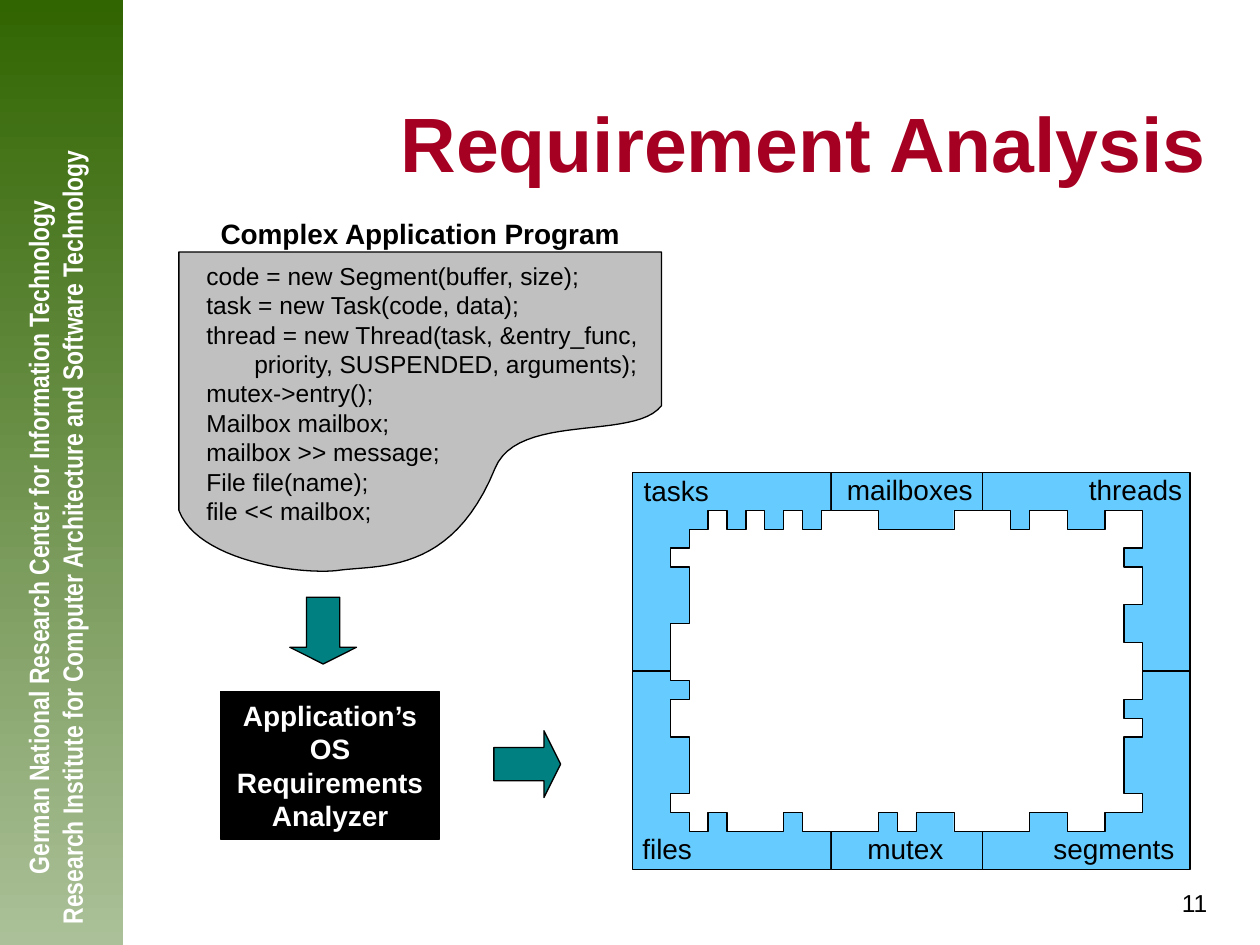
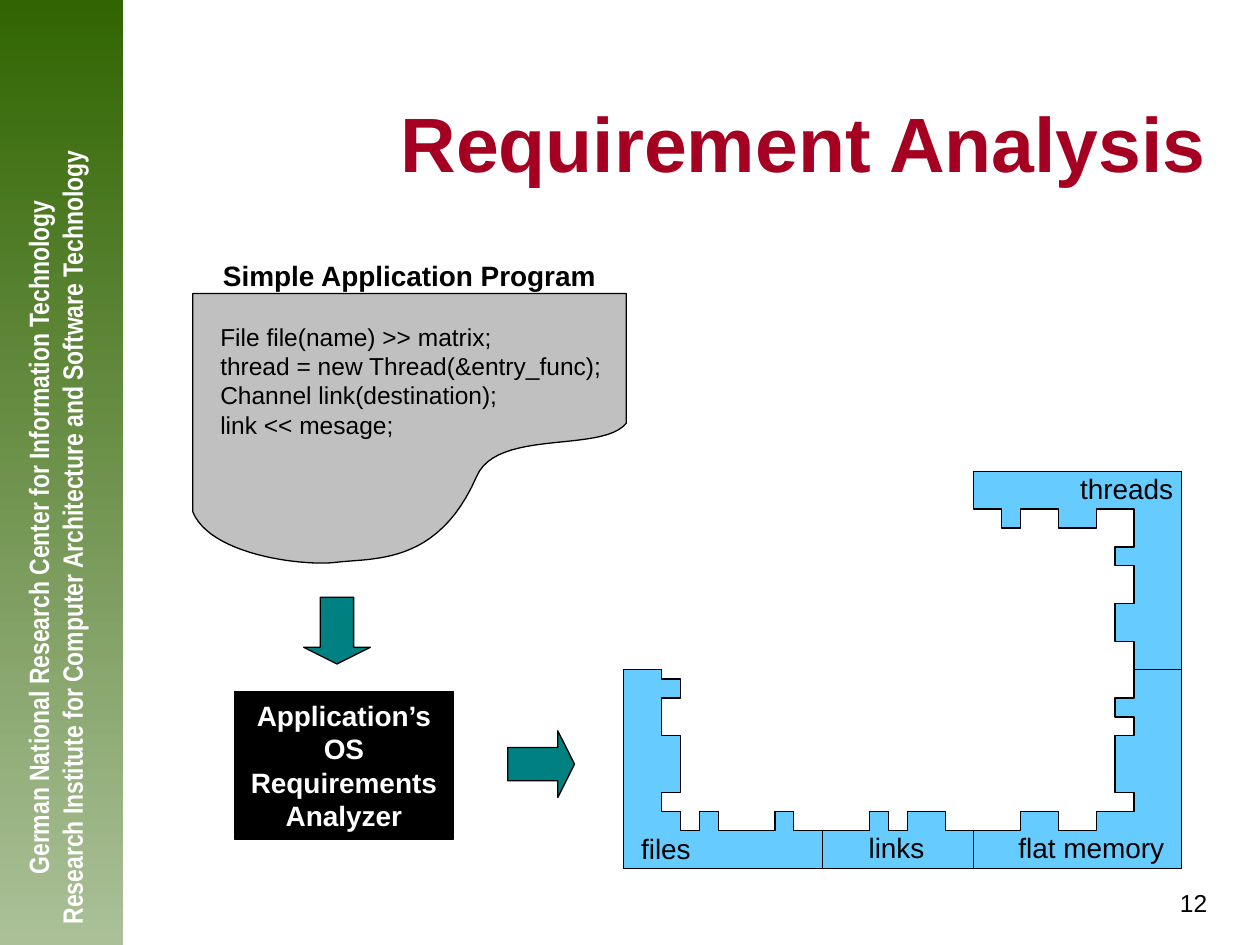
from pptx import Presentation
from pptx.dml.color import RGBColor
from pptx.enum import shapes, text
from pptx.util import Inches, Pt

BLACK, WHITE, RED = "000000", "FFFFFF", "A50021"
GREY, TEAL, SKY = "C0C0C0", "008080", "66CCFF"
DARK, LIGHT = "316501", "ABC098"
LEFT, MID, RIGHT = text.PP_ALIGN.LEFT, text.PP_ALIGN.CENTER, text.PP_ALIGN.RIGHT
SHAPE = shapes.MSO_SHAPE

UNIT = 0.15  # grid step of the puzzle frame
# Outlines in grid steps: a start point x, y, then the next y and x in turn.
PIECES = {
    "tasks": [2, 10.5, 8, 3, 5, 2, 4, 3, 3, 4, 2, 5, 3, 6, 2, 7, 3, 8, 2, 9, 3,
              10, 2, 10.5, 0, 0],
    "mail": [10.5, 0, 2, 13, 3, 17, 2, 18.5],
    "threads": [18.5, 0, 2, 20, 3, 21, 2, 23, 3, 25, 2, 27, 4, 26, 5, 27, 7, 26,
                9, 27, 10.5, 29.5],
    "files": [0, 21, 10.5, 2, 11, 3, 12, 2, 14, 3, 17, 2, 18, 3, 19, 4, 18, 5,
              19, 8, 18, 9, 19, 10.5],
    "sync": [10.5, 19, 21, 18.5, 19, 17, 18, 15, 19, 14, 18, 13],
    "memory": [18.5, 19, 21, 29.5, 10.5, 27, 12, 26, 13, 27, 14, 26, 17, 27, 18,
               25, 19, 23, 18, 21],
}
ALIGN = {"tasks": LEFT, "files": LEFT, "mail": MID, "sync": MID,
         "threads": RIGHT, "memory": RIGHT}

# Torn lower edge of the program sheet, as fractions of its box.
TEAR = [
    [(1, 0.475), (0.943, 0.584), (0.702, 0.494), (0.655, 0.669)],
    [(0.655, 0.669), (0.564, 1), (0.413, 0.965), (0.326, 0.984)],
    [(0.326, 0.984), (0.245, 0.996), (0.039, 0.953), (0, 0.798)],
]

# Labels: piece -> text, then left, top and width within the frame.
SLIDES = [
    dict(
        caption="Complex Application Program", sheet=(1.42, 2, 3.83, 2.57),
        code=(0.02, 2.2), frame=(5.02, 3.75),
        lines=["code = new Segment(buffer, size);",
               "task = new Task(code, data);",
               "thread = new Thread(task, &entry_func,",
               "\tpriority, SUSPENDED, arguments);",
               "mutex->entry();", "Mailbox mailbox;", "mailbox >> message;",
               "File file(name);", "file << mailbox;"],
        labels={"tasks": ("tasks", -0.01, -0.04, 0.72),
                "memory": ("segments", 3.23, 2.8, 1.17),
                "threads": ("threads", 3.52, -0.05, 0.94),
                "mail": ("mailboxes", 1.6, -0.05, 1.2),
                "files": ("files", -0.02, 2.8, 0.6),
                "sync": ("mutex", 1.76, 2.8, 0.81)}),
    dict(
        caption="Simple Application Program", sheet=(1.53, 2.33, 3.44, 2.17),
        code=(0.17, 1.04), frame=(4.95, 3.74),
        lines=["File file(name) >> matrix;",
               "thread = new Thread(&entry_func);",
               "Channel link(destination);", "link << mesage;"],
        labels={"memory": ("flat memory", 3.03, 2.8, 1.36),
                "threads": ("threads", 3.52, -0.05, 0.94),
                "files": ("files", 0.04, 2.81, 0.6),
                "sync": ("links", 1.84, 2.8, 0.65)}),
]


def rgb(code):
    return RGBColor.from_string(code)


def box(*sizes):
    return [Inches(size) for size in sizes]


def paint(shape, fill, width=0.75):
    shape.shadow.inherit = False
    shape.fill.solid()
    shape.fill.fore_color.rgb = rgb(fill)
    shape.line.color.rgb = rgb(BLACK)
    shape.line.width = Pt(width)


def write(shape, words, size, color=BLACK, align=LEFT, bold=False,
          font="Arial", wrap=True):
    """Fill a shape with text; a line that starts with a tab is indented."""
    frame = shape.text_frame
    frame.word_wrap = wrap
    frame.auto_size = text.MSO_AUTO_SIZE.NONE
    frame.vertical_anchor = text.MSO_ANCHOR.MIDDLE
    for num, line in enumerate(words.split("\n")):
        para = frame.add_paragraph() if num else frame.paragraphs[0]
        para.text = line.lstrip("\t")
        para.alignment = align
        if line.startswith("\t"):
            para._p.get_or_add_pPr().set("marL", str(Inches(0.38)))
        for run in para.runs:
            run.font.name, run.font.size = font, Pt(size)
            run.font.bold, run.font.color.rgb = bold, rgb(color)


def label(slide, place, words, size, **style):
    item = slide.shapes.add_textbox(*box(*place))
    write(item, words, size, **style)
    return item


def outline(slide, points, fill, width=0.75):
    """Draw a closed outline through points given in inches."""
    points = [box(*point) for point in points]
    pen = slide.shapes.build_freeform(*points[0])
    pen.add_line_segments(points[1:], close=True)
    paint(pen.convert_to_shape(), fill, width)


def add_band(slide):
    band = slide.shapes.add_shape(SHAPE.RECTANGLE, *box(0, 0, 0.98, 7.5))
    band.shadow.inherit = False
    band.line.fill.background()
    band.fill.gradient()
    band.fill.gradient_angle = 270
    for stop, color in zip(band.fill.gradient_stops, (DARK, LIGHT)):
        stop.color.rgb = rgb(color)
    name = label(
        slide, (-2.77, 3.95, 6.41, 0.63),
        "German National Research Center for Information Technology\n"
        "Research Institute for Computer Architecture and Software Technology",
        16, color=WHITE, align=MID, bold=True, font="Arial Narrow")
    name.rotation = 270


def add_title(slide, words):
    title = slide.shapes.title
    title.left, title.top, title.width, title.height = box(1.3, 0.5, 8.38, 1.25)
    write(title, words, 44, color=RED, align=RIGHT, bold=True)


def curve(ends, steps=24):
    """Points along a cubic curve, without its first one."""
    for step in range(1, steps + 1):
        t = step / steps
        parts = ((1 - t) ** 3, 3 * t * (1 - t) ** 2, 3 * t * t * (1 - t), t ** 3)
        yield [sum(p * end[axis] for p, end in zip(parts, ends))
               for axis in (0, 1)]


def add_sheet(slide, place, caption, code, lines):
    """Torn sheet with a caption above; code holds text offset and height."""
    left, top, wide, high = place
    edge = [(0, 0), (1, 0), TEAR[0][0]]
    for ends in TEAR:
        edge += curve(ends)
    outline(slide, [(left + x * wide, top + y * high) for x, y in edge], GREY)
    label(slide, (left, top - 0.33, wide, 0.37), caption, 16, align=MID, bold=True)
    drop, tall = code
    label(slide, (left + 0.12, top + drop, wide - 0.2, tall), "\n".join(lines),
          14, wrap=False)


def add_flow(slide, left):
    """Analyzer box with the arrows into and out of it."""
    for kind, x, y in ((SHAPE.DOWN_ARROW, 0.88, 4.74),
                       (SHAPE.RIGHT_ARROW, 2.5, 5.8)):
        arrow = slide.shapes.add_shape(kind, *box(left + x, y, 0.53, 0.53))
        arrow.adjustments[1] = 0.25
        paint(arrow, TEAL)
    block = slide.shapes.add_shape(
        SHAPE.RECTANGLE, *box(left + 0.33, 5.49, 1.74, 1.17))
    paint(block, BLACK)
    write(block, "Application’s\nOS Requirements\nAnalyzer", 16,
          color=WHITE, align=MID, bold=True)


def corners(piece):
    """Corner points of a piece, in grid steps."""
    x, first, *rest = PIECES[piece]
    points = [(x, first)]
    for y, turn in zip(rest[::2], rest[1::2]):
        points += [(x, y), (turn, y)]
        x = turn
    return points + [(x, first)]


def add_puzzle(slide, left, top, labels):
    for piece in labels:
        points = [(left + x * UNIT, top + y * UNIT) for x, y in corners(piece)]
        outline(slide, points, SKY, 0.25 if ALIGN[piece] == MID else 0.75)
    for piece, (words, x, y, wide) in labels.items():
        label(slide, (left + x, top + y, wide, 0.37), words, 16,
              align=ALIGN[piece], wrap=False)


def add_slide(deck, number, data):
    slide = deck.slides.add_slide(deck.slide_layouts[5])
    add_band(slide)
    add_title(slide, "Requirement Analysis")
    add_sheet(slide, data["sheet"], data["caption"], data["code"], data["lines"])
    add_flow(slide, data["sheet"][0])
    add_puzzle(slide, *data["frame"], data["labels"])
    label(slide, (7.6, 7, 2.08, 0.33), str(number), 14, align=RIGHT)


def main():
    deck = Presentation()
    deck.slide_width, deck.slide_height = box(10, 7.5)
    for number, data in enumerate(SLIDES, 11):
        add_slide(deck, number, data)
    deck.save("out.pptx")


if __name__ == "__main__":
    main()
